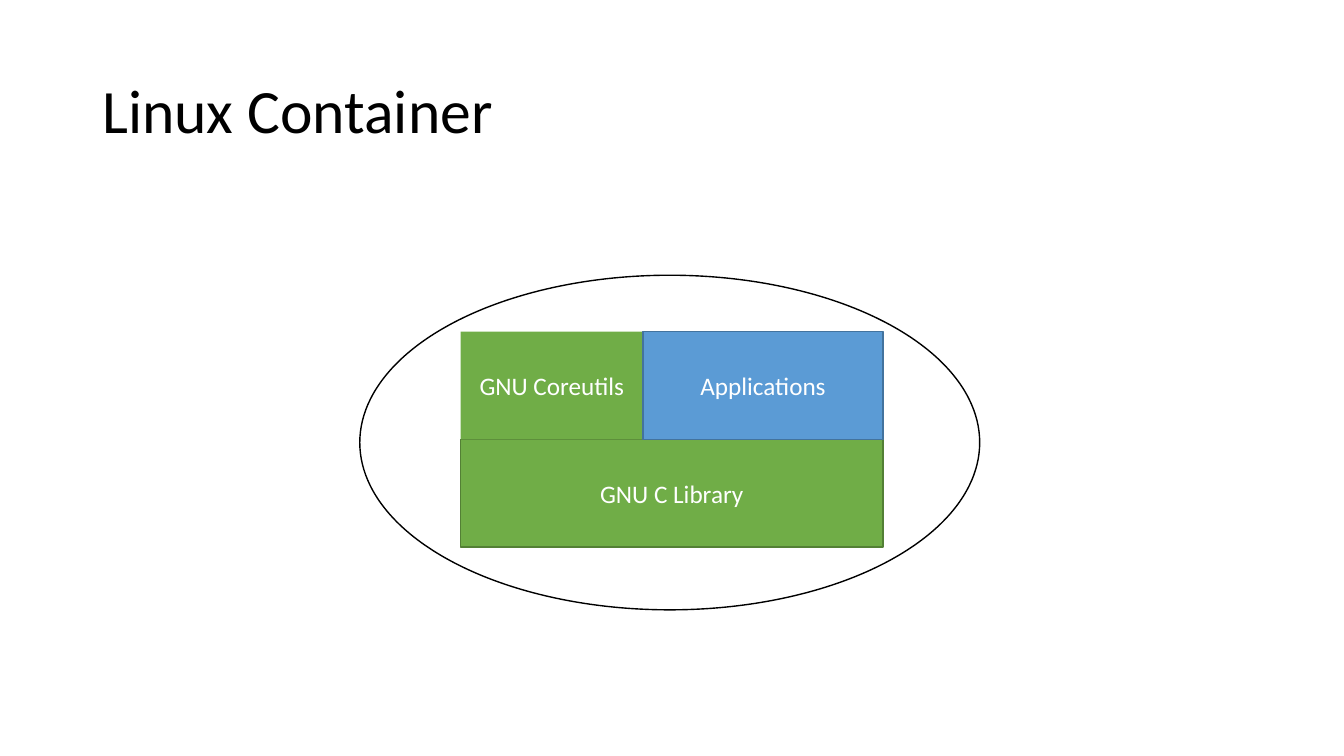
from dataclasses import dataclass
from typing import Optional

import pptx
import pptx.dml.color
import pptx.enum.shapes
import pptx.enum.text
import pptx.util

Pt = pptx.util.Pt
SHAPES = pptx.enum.shapes.MSO_SHAPE
ALIGN = pptx.enum.text.PP_ALIGN

COLORS = {
    "black": "000000",
    "white": "FFFFFF",
    "green": "70AD47",
    "dark green": "538035",
    "blue": "5B9BD5",
    "dark blue": "43739E",
}

STACK_LEFT, STACK_TOP = 329, 236.9
COREUTILS_WIDTH, APPLICATIONS_WIDTH = 130.4, 171.3
LAYER_HEIGHT = 77


@dataclass
class Block:
    label: str
    column_offset: float
    layer: int
    width: float
    fill: str
    line: Optional[str] = None


BLOCKS = [
    Block("GNU C Library", 0, 1, COREUTILS_WIDTH + APPLICATIONS_WIDTH, "green", "dark green"),
    Block("GNU Coreutils", 0, 0, COREUTILS_WIDTH, "green"),
    Block("Applications", COREUTILS_WIDTH, 0, APPLICATIONS_WIDTH, "blue", "dark blue"),
]


def rgb(name: str) -> pptx.dml.color.RGBColor:
    return pptx.dml.color.RGBColor.from_string(COLORS[name])


def write_text(box, text: str, *, size: float, color: str, align=ALIGN.LEFT,
               line_spacing: float = 1.0) -> None:
    frame = box.text_frame
    frame.word_wrap = True
    frame.vertical_anchor = pptx.enum.text.MSO_ANCHOR.MIDDLE
    para = frame.paragraphs[0]
    para.alignment = align
    para.line_spacing = line_spacing
    span = para.add_run()
    span.text = text
    span.font.name = "Calibri"
    span.font.size = Pt(size)
    span.font.color.rgb = rgb(color)


def add_figure(page, kind, left: float, top: float, width: float, height: float,
               fill: Optional[str], line: Optional[str]):
    """Add a flat preset shape; a colour of None means no fill or no line."""
    figure = page.shapes.add_shape(kind, Pt(left), Pt(top), Pt(width), Pt(height))
    figure.shadow.inherit = False
    if fill:
        figure.fill.solid()
        figure.fill.fore_color.rgb = rgb(fill)
    else:
        figure.fill.background()
    if line:
        figure.line.color.rgb = rgb(line)
        figure.line.width = Pt(1)
    else:
        figure.line.fill.background()
    return figure


def add_block(page, block: Block) -> None:
    box = add_figure(page, SHAPES.RECTANGLE, STACK_LEFT + block.column_offset,
                     STACK_TOP + block.layer * LAYER_HEIGHT, block.width, LAYER_HEIGHT,
                     block.fill, block.line)
    write_text(box, block.label, size=18, color="white", align=ALIGN.CENTER)


def main() -> None:
    deck = pptx.Presentation()
    deck.slide_width, deck.slide_height = Pt(960), Pt(540)
    page = deck.slides.add_slide(deck.slide_layouts[6])

    add_figure(page, SHAPES.OVAL, 257, 196.6, 442.8, 239, None, "black")
    title = page.shapes.add_textbox(Pt(66), Pt(28.8), Pt(828), Pt(104.4))
    write_text(title, "Linux Container", size=44, color="black", line_spacing=0.9)
    for block in BLOCKS:
        add_block(page, block)

    deck.save("out.pptx")


if __name__ == "__main__":
    main()
